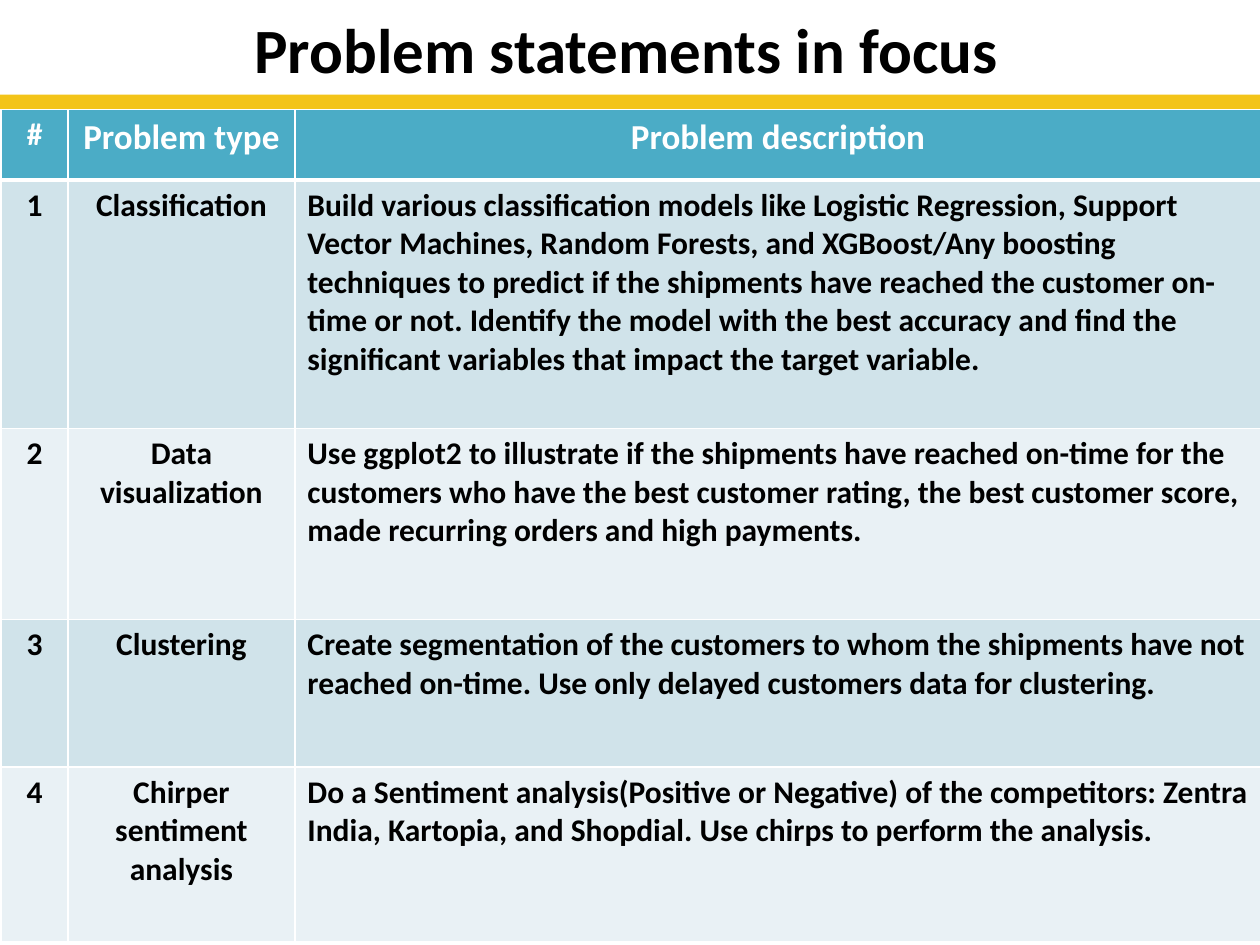
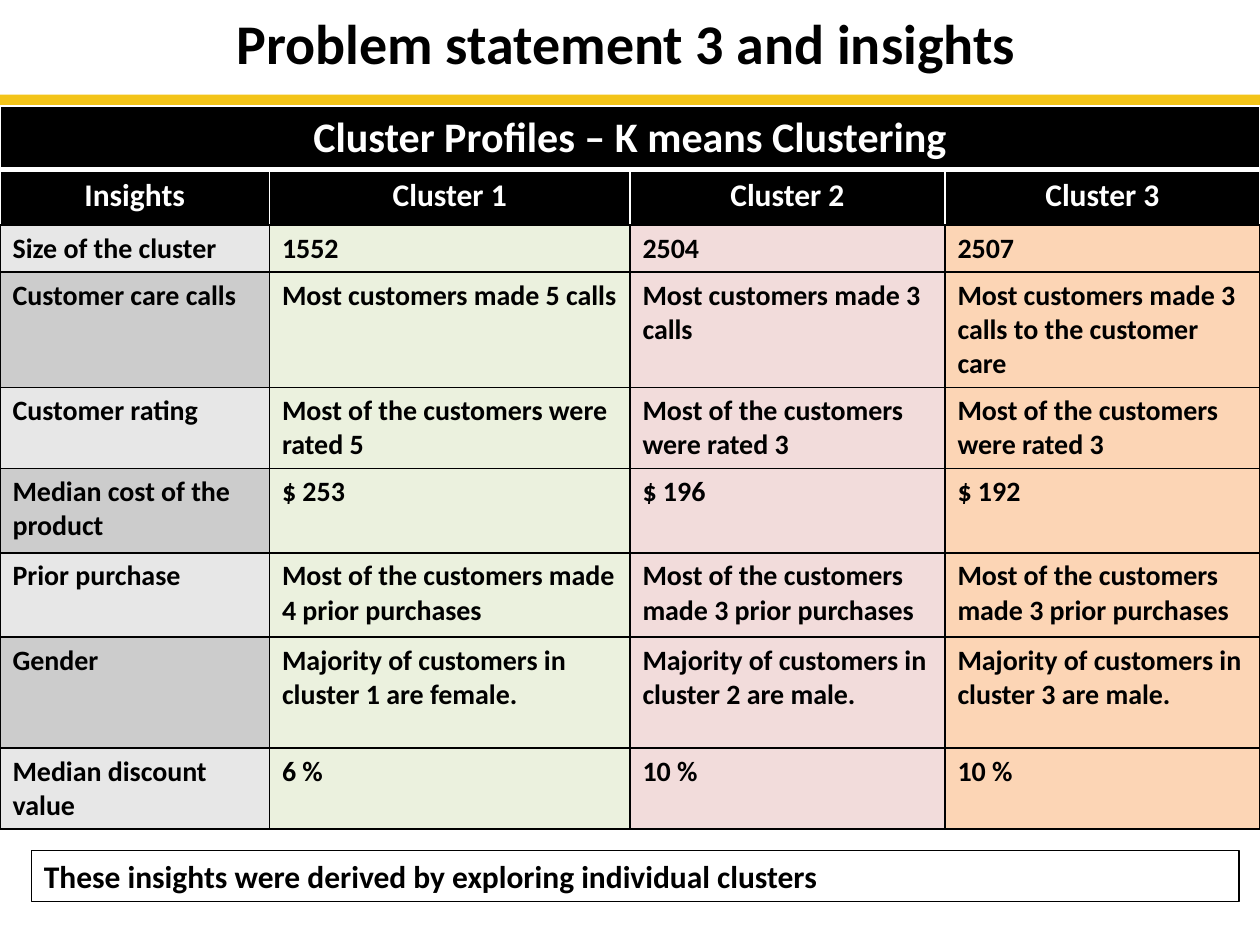
from lxml import etree
from pptx import Presentation
from pptx.dml.color import RGBColor
from pptx.enum import shapes, text
from pptx.oxml import ns
from pptx.util import Pt

FONT = "Calibri"
BLACK = RGBColor(0x00, 0x00, 0x00)
WHITE = RGBColor(0xFF, 0xFF, 0xFF)
GOLD = RGBColor(0xF3, 0xC4, 0x19)
TEAL = RGBColor(0x4B, 0xAC, 0xC6)
MIST = RGBColor(0xD0, 0xE3, 0xEA)
PALE = RGBColor(0xE9, 0xF1, 0xF5)
LIGHT = RGBColor(0xE7, 0xE7, 0xE7)
GRAY = RGBColor(0xCC, 0xCC, 0xCC)
GREEN = RGBColor(0xEB, 0xF1, 0xDE)
PINK = RGBColor(0xF2, 0xDC, 0xDB)
PEACH = RGBColor(0xFC, 0xD5, 0xB5)
LEFT, MID = text.PP_ALIGN.LEFT, text.PP_ALIGN.CENTER

TASKS = [
    ["#", "Problem type", "Problem description"],
    ["1", "Classification",
     "Build various classification models like Logistic Regression, Support "
     "Vector Machines, Random Forests, and XGBoost/Any boosting techniques to "
     "predict if the shipments have reached the customer on-time or not. "
     "Identify the model with the best accuracy and find the significant "
     "variables that impact the target variable."],
    ["2", "Data visualization",
     "Use ggplot2 to illustrate if the shipments have reached on-time for the "
     "customers who have the best customer rating, the best customer score, "
     "made recurring orders and high payments."],
    ["3", "Clustering",
     "Create segmentation of the customers to whom the shipments have not "
     "reached on-time. Use only delayed customers data for clustering."],
    ["4", "Chirper sentiment analysis",
     "Do a Sentiment analysis(Positive or Negative) of the competitors: "
     "Zentra India, Kartopia, and Shopdial. Use chirps to perform the "
     "analysis."],
]

GROUPS = [
    ["Cluster Profiles – K means Clustering"],
    ["Insights", "Cluster 1", "Cluster 2", "Cluster 3"],
    ["Size of the cluster", "1552", "2504", "2507"],
    ["Customer care calls", "Most customers made 5 calls",
     "Most customers made 3 calls",
     "Most customers made 3 calls to the customer care"],
    ["Customer rating", "Most of the customers were rated 5",
     "Most of the customers were rated 3",
     "Most of the customers were rated 3"],
    ["Median cost of the product", "$ 253", "$ 196", "$ 192"],
    ["Prior purchase", "Most of the customers made 4 prior purchases",
     "Most of the customers made 3 prior purchases",
     "Most of the customers made 3 prior purchases"],
    ["Gender", "Majority of customers in cluster 1 are female.",
     "Majority of customers in cluster 2 are male.",
     "Majority of customers in cluster 3 are male."],
    ["Median discount value", "6 %", "10 %", "10 %"],
]


class Deck:
    def __init__(self):
        self.prs = Presentation()
        self.prs.slide_width, self.prs.slide_height = Pt(720), Pt(540)
        self.slide = None

    def page(self, title, size, top, height):
        self.slide = self.prs.slides.add_slide(self.prs.slide_layouts[5])
        self.band(54, 8.64)
        box = self.slide.shapes.title
        box.left, box.top = Pt(33.84), Pt(top)
        box.width, box.height = Pt(648), Pt(height)
        box.text_frame.vertical_anchor = text.MSO_ANCHOR.MIDDLE
        self.label(box.text_frame, title, size, BLACK, MID)

    def label(self, frame, words, size, ink, align):
        frame.text = words
        frame.word_wrap = True
        para = frame.paragraphs[0]
        para.alignment = align
        para.font.name, para.font.size, para.font.bold = FONT, Pt(size), True
        for run in para.runs:
            run.font.color.rgb = ink

    def rect(self, *at):
        box = self.slide.shapes.add_shape(
            shapes.MSO_SHAPE.RECTANGLE, *map(Pt, at))
        box.shadow.inherit = False
        return box

    def band(self, top, height):
        box = self.rect(0, top, 720, height)
        box.fill.solid()
        box.fill.fore_color.rgb = GOLD
        box.line.fill.background()

    def note(self, words, *at):
        box = self.rect(*at)
        box.fill.background()
        box.line.color.rgb = BLACK
        box.line.width = Pt(0.75)
        self.label(box.text_frame, words, 18, BLACK, LEFT)

    def edge(self, cell, side, ink, width):
        line = etree.SubElement(cell._tc.get_or_add_tcPr(),
                                ns.qn("a:ln" + side), w=str(Pt(width)))
        fill = etree.SubElement(line, ns.qn("a:solidFill"))
        etree.SubElement(fill, ns.qn("a:srgbClr"), val=str(ink))

    def grid(self, left, top, cols, highs, rows, rules, line, size, hue, mids):
        """Draw a table; rules holds the line under each header row,
        line colours the body edges, mids is the count of centred columns."""
        table = self.slide.shapes.add_table(
            len(rows), len(cols), Pt(left), Pt(top),
            Pt(sum(cols)), Pt(sum(highs))).table
        table.first_row = table.horz_banding = False
        for col, width in zip(table.columns, cols):
            col.width = Pt(width)
        under = (WHITE, 1)
        for r, row in enumerate(rows):
            table.rows[r].height = Pt(highs[r])
            head = r < len(rules)
            above, under = under, rules[r] if head else (line, 1)
            side = (WHITE if head else line, 1)
            for c in range(len(cols)):
                cell = table.cell(r, c)
                for name, rule in zip("LRTB", (side, side, above, under)):
                    self.edge(cell, name, *rule)
                cell.fill.solid()
                cell.fill.fore_color.rgb = hue(r, c)
                if c < len(row):
                    self.label(cell.text_frame, row[c], size(r, c),
                               WHITE if head else BLACK,
                               MID if head or c < mids else LEFT)
            if len(row) == 1:
                table.cell(r, 0).merge(table.cell(r, len(cols) - 1))


def focus(deck):
    deck.page("Problem statements in focus", 36, 0.72, 54)
    deck.band(516.24, 2.88)
    deck.grid(
        0.72, 62.64, [38.2, 129.6, 552.2], [40.3, 141.8, 109.4, 84.2, 100.1],
        TASKS, [(WHITE, 3)], WHITE,
        size=lambda r, c: 20 if r == 0 and c else 18,
        hue=lambda r, c: TEAL if r == 0 else MIST if r % 2 else PALE,
        mids=2)


def profile(deck):
    def hue(r, c):
        if r < 2:
            return BLACK
        return (GRAY if r % 2 else LIGHT, GREEN, PINK, PEACH)[c]

    deck.page("Problem statement 3 and insights", 32, -20.88, 90)
    deck.grid(
        0, 60.48, [154, 206, 180, 180],
        [35.3, 31.7, 23.8, 43.2, 45.4, 48.2, 48.2, 63.4, 43.2],
        GROUPS, [(WHITE, 3), (BLACK, 1)], BLACK,
        size=lambda r, c: (24, 18)[r] if r < 2 else 16,
        hue=hue, mids=0)
    deck.note("These insights were derived by exploring individual clusters",
              18, 486, 690, 29)


def main():
    deck = Deck()
    focus(deck)
    profile(deck)
    deck.prs.save("out.pptx")


if __name__ == "__main__":
    main()
